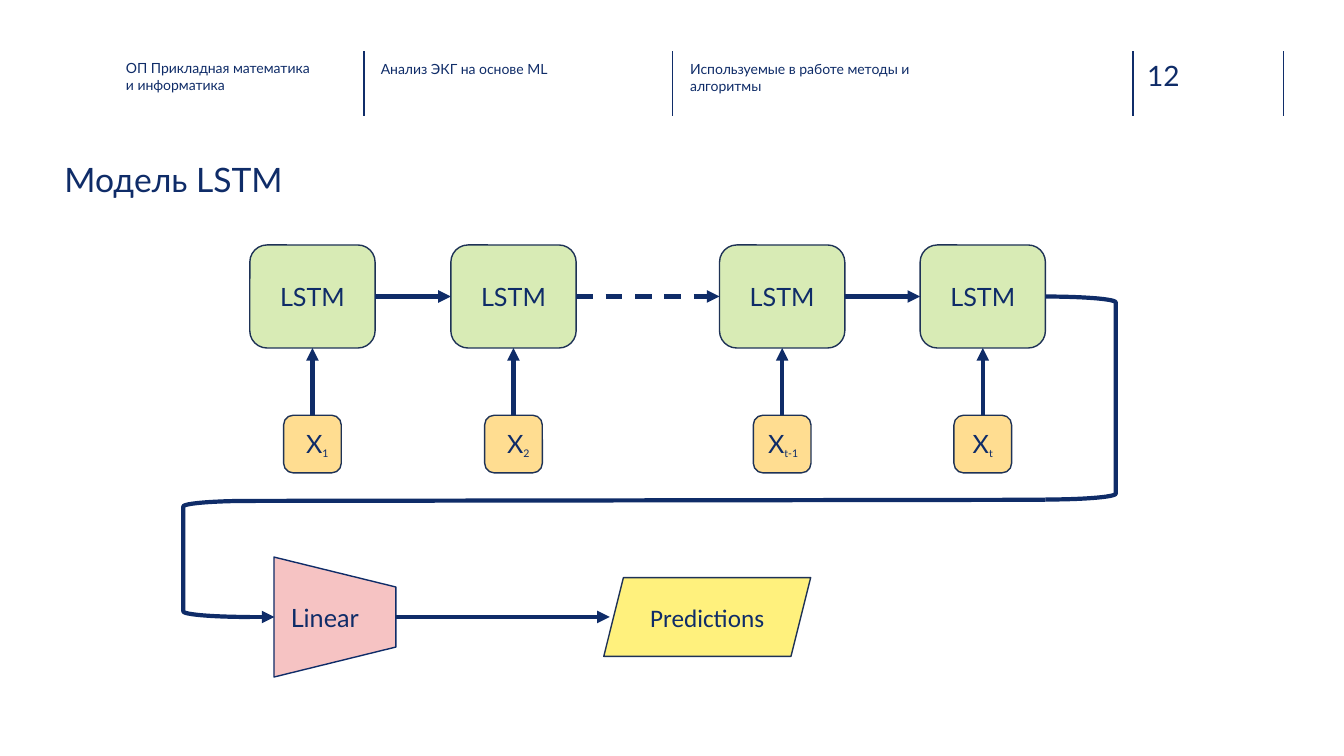
from lxml.etree import SubElement
from pptx import Presentation
from pptx.dml.color import RGBColor
from pptx.enum.dml import MSO_LINE as Dash
from pptx.enum.shapes import MSO_CONNECTOR as Conn, MSO_SHAPE as Kind
from pptx.enum.text import MSO_ANCHOR as Anchor, MSO_AUTO_SIZE as Auto, PP_ALIGN as Align
from pptx.oxml.ns import qn
from pptx.util import Pt

NAVY, EDGE, RULE = "0F2C68", "1E3256", "102D69"


def tint(code):
    return RGBColor.from_string(code)


def write(frame, rows, size, form, face="Lato"):
    """Fill a frame; each row is a list of (text, baseline) runs."""
    for name, val in form.items():
        setattr(frame, name, val)
    for num, row in enumerate(rows):
        para = frame.add_paragraph() if num else frame.paragraphs[0]
        para.alignment = align
        for text, base in row:
            run = para.add_run()
            run.text = text
            run.font.name, run.font.color.rgb = face, tint(NAVY)
            run.font.size = Pt(13 if base else size)
            if base:
                run._r.get_or_add_rPr().set("baseline", str(base))


deck = Presentation()
deck.slide_width, deck.slide_height = Pt(960), Pt(540)
slide = deck.slides.add_slide(deck.slide_layouts[5])
shapes = slide.shapes

flush = dict(margin_left=0, margin_top=0, margin_right=0, margin_bottom=0,
             word_wrap=True, auto_size=Auto.NONE, vertical_anchor=Anchor.TOP)
middle = dict(word_wrap=True, vertical_anchor=Anchor.MIDDLE)

# Title and header
align = Align.LEFT
title = shapes.title
title.left, title.top, title.width, title.height = Pt(46), Pt(113.8), Pt(844), Pt(61)
write(title.text_frame, [[("Модель LSTM", 0)]], 24, flush)

heads = [
    (90, 42.5, 150, 10, ["ОП Прикладная математика", "и информатика"]),
    (272, 43.2, 163, 10, ["Анализ ЭКГ на основе ML"]),
    (493, 43.2, 163, 10, ["Используемые в работе методы и алгоритмы"]),
    (819.4, 41.8, 53, 20, ["12"]),
]
for left, top, wide, size, rows in heads:
    box = shapes.add_textbox(Pt(left), Pt(top), Pt(wide), Pt(32))
    write(box.text_frame, [[(row, 0)] for row in rows], size, flush)

# Nodes: kind, left, top, width, height, fill, line colour, runs, alignment, font
mids = [223.2, 366.8, 558.7, 702]
marks = ["1", "2", "t-1", "t"]
nodes = []
for mid, mark in zip(mids, marks):
    side = Align.CENTER if mark == "t" else Align.RIGHT
    nodes += [
        (Kind.ROUNDED_RECTANGLE, mid - 44.75, 175, 89.5, 73.6, "D8EBB5", EDGE,
         [("LSTM", 0)], Align.CENTER, "Lato"),
        (Kind.ROUNDED_RECTANGLE, mid - 20.6, 296.6, 41.2, 41.2, "FFDD91", EDGE,
         [("X", 0), (mark, -25000)], side, "Lato"),
    ]
nodes += [
    (Kind.TRAPEZOID, 196.4, 397.2, 85.7, 87.1, "F6C3C3", NAVY,
     [("Linear", 0)], Align.CENTER, "Lato"),
    (Kind.PARALLELOGRAM, 431.3, 412.6, 147.8, 56.2, "FFF17D", EDGE,
     [("Predictions", 0)], Align.CENTER, "Calibri"),
]
made = []
for kind, left, top, wide, high, fill, edge, runs, align, face in nodes:
    node = shapes.add_shape(kind, Pt(left), Pt(top), Pt(wide), Pt(high))
    node.shadow.inherit = False
    node.fill.solid()
    node.fill.fore_color.rgb = tint(fill)
    node.line.color.rgb, node.line.width = tint(edge), Pt(1)
    write(node.text_frame, [runs], 18, middle, face)
    made.append(node)
cells, inputs, linear = made[0:8:2], made[1:8:2], made[8]
linear.rotation = 90
linear.text_frame._txBody.bodyPr.set("vert", "vert270")

# Rounded turns of the path from the last cell to the linear layer
for left, top, wide, high, flip in [(746.8, 211.8, 50.2, 145, False),
                                    (131, 357.8, 47.6, 82.9, True)]:
    turn = shapes.add_shape(Kind.RIGHT_BRACKET, Pt(left), Pt(top), Pt(wide), Pt(high))
    turn.shadow.inherit = False
    turn.fill.background()
    turn.line.color.rgb, turn.line.width = tint(NAVY), Pt(3)
    if flip:
        turn._element.spPr.xfrm.set("flipH", "1")

# Lines: ends, colour, width, arrow, dash, joined (shape, site) pairs
lines = [((x, 36.7, x, 82.8), RULE, 1, False, False, None)
         for x in (260, 480.2, 809.3, 916.6)]
lines += [((0, 0, 0, 0), NAVY, 3, True, False, ((low, 0), (cell, 2)))
          for low, cell in zip(inputs, cells)]
lines += [((0, 0, 0, 0), NAVY, 3, True, num == 1, ((cell, 3), (after, 1)))
          for num, (cell, after) in enumerate(zip(cells, cells[1:]))]
lines += [
    ((746.8, 357, 178.6, 357.8), NAVY, 3, False, False, None),
    ((178.6, 440.7, 196, 440.7), NAVY, 3, True, False, None),
    ((282.4, 440.7, 435.6, 440.7), NAVY, 3, True, False, None),
]
for ends, tone, wide, arrow, dash, pair in lines:
    line = shapes.add_connector(Conn.STRAIGHT, *map(Pt, ends))
    if pair:
        line.begin_connect(*pair[0])
        line.end_connect(*pair[1])
    line.line.color.rgb, line.line.width = tint(tone), Pt(wide)
    if dash:
        line.line.dash_style = Dash.DASH
    if arrow:
        SubElement(line.line._get_or_add_ln(), qn("a:tailEnd"), type="triangle")
    SubElement(line._element.spPr, qn("a:effectLst"))

deck.save("out.pptx")
